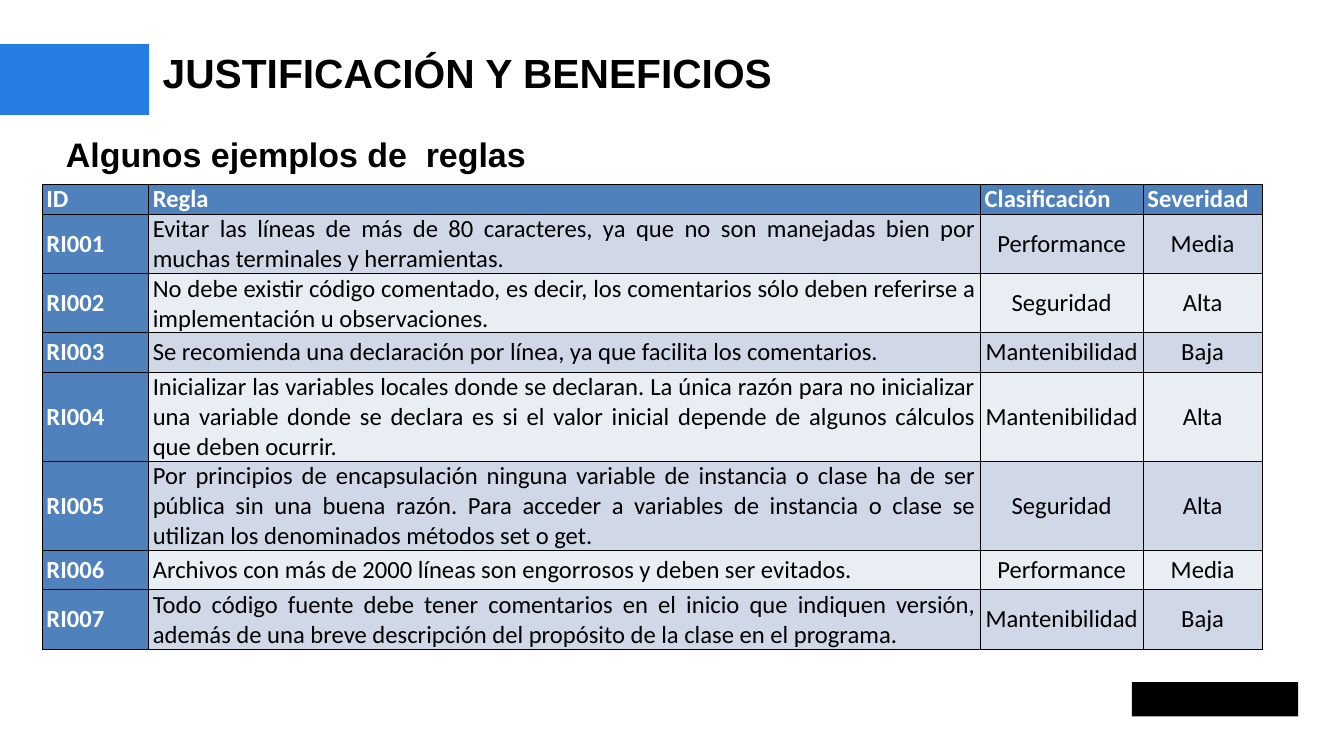
from lxml.etree import SubElement
from pptx import Presentation
from pptx.dml.color import RGBColor
from pptx.enum.shapes import MSO_SHAPE
from pptx.enum.text import MSO_ANCHOR, PP_ALIGN
from pptx.oxml.ns import qn
from pptx.util import Cm, Pt

BLACK = RGBColor(0x00, 0x00, 0x00)
WHITE = RGBColor(0xFF, 0xFF, 0xFF)
ACCENT = RGBColor(0x25, 0x7C, 0xE1)
HEADER_BLUE = RGBColor(0x4F, 0x81, 0xBD)
BANDS = [RGBColor(0xE9, 0xED, 0xF4), RGBColor(0xD0, 0xD8, 0xE8)]

COLUMN_WIDTHS = [4.42, 34.57, 6.76, 4.95]
ROW_HEIGHTS = [1.24, 2.46, 2.46, 1.64, 3.7, 3.7, 1.64, 2.46]
RULES = [
    ("ID", "Regla", "Clasificación", "Severidad"),
    ("RI001", "Evitar las líneas de más de 80 caracteres, ya que no son manejadas "
     "bien por muchas terminales y herramientas.", "Performance", "Media"),
    ("RI002", "No debe existir código comentado, es decir, los comentarios sólo "
     "deben referirse a implementación u observaciones.", "Seguridad", "Alta"),
    ("RI003", "Se recomienda una declaración por línea, ya que facilita los "
     "comentarios.", "Mantenibilidad", "Baja"),
    ("RI004", "Inicializar las variables locales donde se declaran. La única razón "
     "para no inicializar una variable donde se declara es si el valor inicial "
     "depende de algunos cálculos que deben ocurrir.", "Mantenibilidad", "Alta"),
    ("RI005", "Por principios de encapsulación ninguna variable de instancia o clase "
     "ha de ser pública sin una buena razón. Para acceder a variables de instancia o "
     "clase se utilizan los denominados métodos set o get.", "Seguridad", "Alta"),
    ("RI006", "Archivos con más de 2000 líneas son engorrosos y deben ser evitados.",
     "Performance", "Media"),
    ("RI007", "Todo código fuente debe tener comentarios en el inicio que indiquen "
     "versión, además de una breve descripción del propósito de la clase en el "
     "programa.", "Mantenibilidad", "Baja"),
]


def format_paragraph(paragraph, font_name, size, color, bold, align):
    paragraph.alignment = align
    font = paragraph.font
    font.name, font.size, font.bold = font_name, Pt(size), bold
    font.color.rgb = color


def add_block(slide, left, top, width, height, color):
    block = slide.shapes.add_shape(
        MSO_SHAPE.RECTANGLE, Cm(left), Cm(top), Cm(width), Cm(height))
    block.shadow.inherit = False
    block.fill.solid()
    block.fill.fore_color.rgb = color
    block.line.fill.background()


def fill_heading(heading, text, left, top, width, height, size, align):
    heading.left, heading.top = Cm(left), Cm(top)
    heading.width, heading.height = Cm(width), Cm(height)
    frame = heading.text_frame
    frame.word_wrap = True
    frame.vertical_anchor = MSO_ANCHOR.TOP
    frame.margin_left = frame.margin_right = 0
    frame.margin_top = frame.margin_bottom = 0
    frame.text = text
    format_paragraph(frame.paragraphs[0], "Arial", size, BLACK, True, align)


def add_borders(cell):
    properties = cell._tc.get_or_add_tcPr()
    for side in ("a:lnL", "a:lnR", "a:lnT", "a:lnB"):
        border = SubElement(properties, qn(side), w=str(Pt(1)))
        solid = SubElement(border, qn("a:solidFill"))
        SubElement(solid, qn("a:srgbClr"), val=str(BLACK))


def fill_cell(cell, text, row, column):
    is_header = row == 0 or column == 0
    add_borders(cell)
    cell.fill.solid()
    cell.fill.fore_color.rgb = HEADER_BLUE if is_header else BANDS[row % 2]
    cell.vertical_anchor = MSO_ANCHOR.MIDDLE
    cell.margin_left = cell.margin_right = Cm(0.18)
    cell.margin_top = cell.margin_bottom = 0
    cell.text = text
    centred = row > 0 and column > 1
    format_paragraph(cell.text_frame.paragraphs[0], "Calibri", 29,
                     WHITE if is_header else BLACK, is_header,
                     PP_ALIGN.CENTER if centred else PP_ALIGN.JUSTIFY)


def add_rules_table(slide, left, top):
    table = slide.shapes.add_table(
        len(RULES), len(COLUMN_WIDTHS), Cm(left), Cm(top),
        Cm(sum(COLUMN_WIDTHS)), Cm(sum(ROW_HEIGHTS))).table
    for column, width in zip(table.columns, COLUMN_WIDTHS):
        column.width = Cm(width)
    for row, height in zip(table.rows, ROW_HEIGHTS):
        row.height = Cm(height)
    for row, rule in enumerate(RULES):
        for column, text in enumerate(rule):
            fill_cell(table.cell(row, column), text, row, column)


def main():
    presentation = Presentation()
    presentation.slide_width, presentation.slide_height = Cm(55.85), Cm(31.42)
    slide = presentation.slides.add_slide(presentation.slide_layouts[5])

    # Accent bar, and a plain block in the brand corner
    add_block(slide, 0, 1.83, 6.2, 2.95, ACCENT)
    add_block(slide, 47.04, 28.35, 6.91, 1.42, BLACK)

    # Title and subtitle
    fill_heading(slide.shapes.title, "JUSTIFICACIÓN Y BENEFICIOS",
                 6.76, 1.98, 47.19, 2.06, 48, PP_ALIGN.LEFT)
    subtitle = slide.shapes.add_textbox(0, 0, 0, 0)
    fill_heading(subtitle, "Algunos ejemplos de  reglas",
                 2.74, 5.54, 50.17, 1.7, 40, PP_ALIGN.JUSTIFY)

    # Table of rules
    add_rules_table(slide, 1.75, 7.67)

    presentation.save("out.pptx")


if __name__ == "__main__":
    main()
